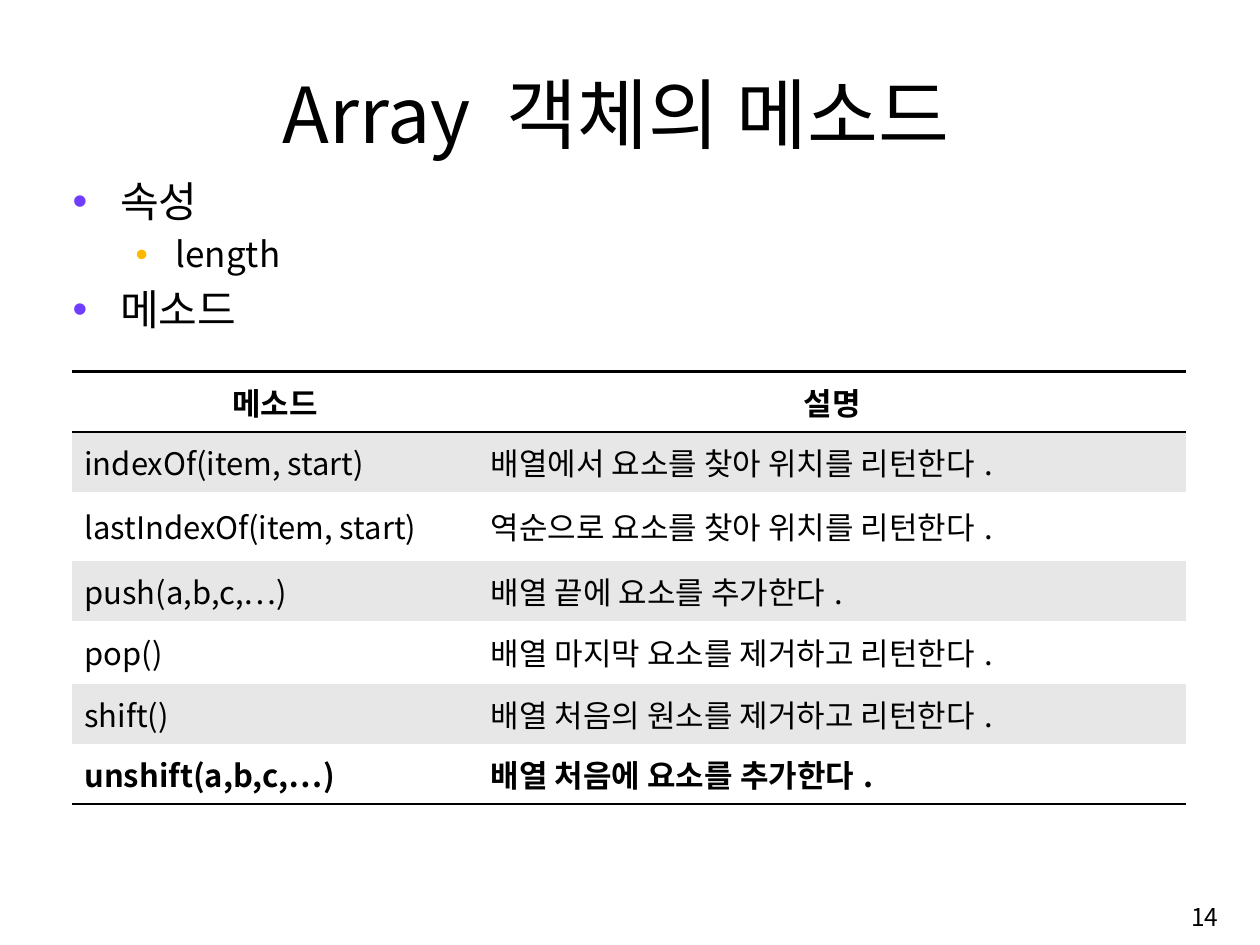
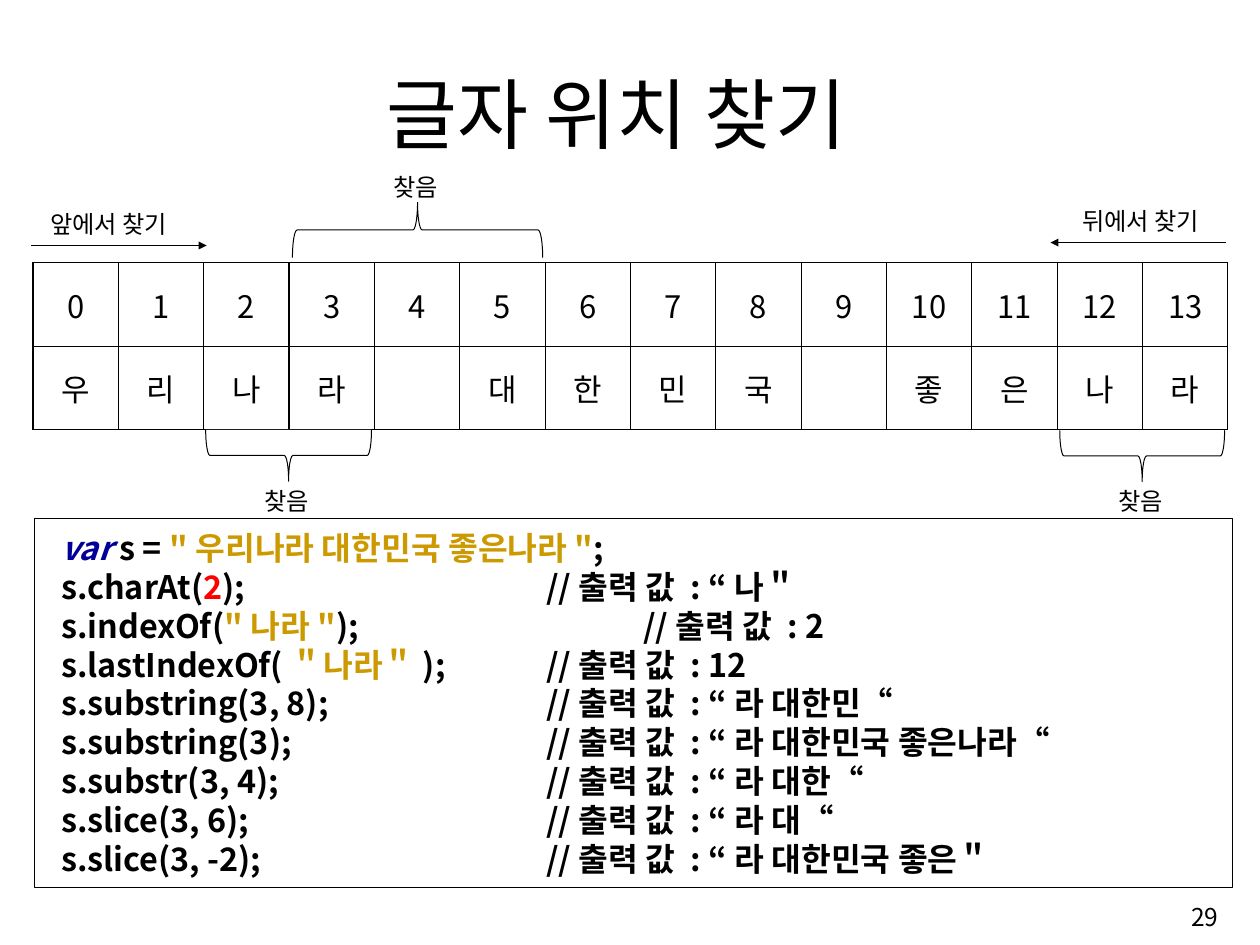
import dataclasses
import pptx
import pptx.util
import pptx.dml.color
import pptx.enum.shapes
import pptx.enum.text
import pptx.oxml
import pptx.oxml.ns
import lxml.etree

Inches, Pt = pptx.util.Inches, pptx.util.Pt
RGB = pptx.dml.color.RGBColor.from_string
Shape = pptx.enum.shapes.MSO_SHAPE
Align = pptx.enum.text.PP_ALIGN
Anchor = pptx.enum.text.MSO_ANCHOR
qn = pptx.oxml.ns.qn


@dataclasses.dataclass
class Theme:
    font: str = "Noto Sans CJK KR"
    small: str = "Arial"
    ink: str = "000000"
    paper: str = "FFFFFF"
    band: str = "E7E7E7"
    violet: str = "703DFF"
    amber: str = "FFB800"
    navy: str = "000099"
    gold: str = "CC9900"
    red: str = "FF0000"
    title: float = 57.2
    body: float = 31.2
    sub: float = 26
    code: float = 24
    cell: float = 23
    page: float = 18.2
    label: float = 18


T = Theme()


def write(frame, lines, size=T.cell, font=T.font, bold=False, align=Align.LEFT,
          anchor=Anchor.TOP, pad=(0.1, 0.05), bullets=None, tabs=()):
    """Fill a text frame or cell; a line is text or a list of (text, colour, italic)."""
    cell = not hasattr(frame, "word_wrap")
    text = frame.text_frame if cell else frame
    text.word_wrap = True
    frame.vertical_anchor = anchor
    frame.margin_left = frame.margin_right = Inches(pad[0])
    frame.margin_top = frame.margin_bottom = Inches(pad[1])
    for i, line in enumerate(lines):
        para = text.paragraphs[0] if i == 0 else text.add_paragraph()
        para.alignment = align
        props = para._p.get_or_add_pPr()
        points = size
        if bullets:
            points, left, hang, hue = bullets[i]
            para.space_before = Pt(round(points * 0.2, 1))
            props.set("marL", str(Inches(left)))
            props.set("indent", str(-Inches(hang)))
            mark = lxml.etree.SubElement(props, qn("a:buClr"))
            lxml.etree.SubElement(mark, qn("a:srgbClr"), val=hue)
            lxml.etree.SubElement(props, qn("a:buFont"), typeface=T.small)
            lxml.etree.SubElement(props, qn("a:buChar"), char="•")
        if tabs:
            stops = lxml.etree.SubElement(props, qn("a:tabLst"))
            for stop in tabs:
                lxml.etree.SubElement(stops, qn("a:tab"), pos=str(Inches(stop)), algn="l")
        parts = [(line, T.ink, False)] if isinstance(line, str) else line
        for words, hue, slant in parts:
            run = para.add_run()
            run.text = words
            run.font.size, run.font.name = Pt(points), font
            run.font.bold, run.font.italic = bold, slant
            run.font.color.rgb = RGB(hue)
            lxml.etree.SubElement(run._r.get_or_add_rPr(), qn("a:ea"), typeface=T.font)


def edge(cell, **widths):
    """Draw the named cell borders (L, R, T, B) and clear the others."""
    for side in "LRTB":
        width = widths.get(side, 0)
        line = lxml.etree.SubElement(cell._tc.get_or_add_tcPr(), qn("a:ln" + side),
                                     w=str(Pt(width)))
        if width:
            fill = lxml.etree.SubElement(line, qn("a:solidFill"))
            lxml.etree.SubElement(fill, qn("a:srgbClr"), val=T.ink)
        else:
            lxml.etree.SubElement(line, qn("a:noFill"))


deck = pptx.Presentation()
deck.slide_width, deck.slide_height = Inches(12.99), Inches(9.74)

# Shared title and page number
slides = []
for title, page in [("Array 객체의 메소드", "14"), ("글자 위치 찾기", "29")]:
    slide = deck.slides.add_slide(deck.slide_layouts[6])
    box = slide.shapes.add_textbox(Inches(1.05), Inches(0.61), Inches(10.61), Inches(1.08))
    write(box.text_frame, [title], size=T.title, align=Align.CENTER, anchor=Anchor.BOTTOM)
    box = slide.shapes.add_textbox(Inches(9.98), Inches(9.15), Inches(2.68), Inches(0.59))
    write(box.text_frame, [page], size=T.page, align=Align.RIGHT, anchor=Anchor.MIDDLE)
    slides.append(slide)
first, second = [slide.shapes for slide in slides]

# Slide 1: bullets
box = first.add_textbox(Inches(0.65), Inches(1.76), Inches(11.67), Inches(1.9))
main = (T.body, 0.49, 0.49, T.violet)
write(box.text_frame, ["속성", "length", "메소드"],
      bullets=[main, (T.sub, 1.06, 0.41, T.amber), main])

# Slide 1: method table
rows = [
    ("메소드", "설명"),
    ("indexOf(item, start)", "배열에서 요소를 찾아 위치를 리턴한다."),
    ("lastIndexOf(item, start)", "역순으로 요소를 찾아 위치를 리턴한다."),
    ("push(a,b,c,…)", "배열 끝에 요소를 추가한다."),
    ("pop()", "배열 마지막 요소를 제거하고 리턴한다."),
    ("shift()", "배열 처음의 원소를 제거하고 리턴한다."),
    ("unshift(a,b,c,…)", "배열 처음에 요소를 추가한다."),
]
table = first.add_table(len(rows), 2, Inches(0.74), Inches(3.83),
                        Inches(11.49), Inches(4.46)).table
table.first_row = table.horz_banding = False
for col, width in zip(table.columns, (4.19, 7.3)):
    col.width = Inches(width)
for r, row in enumerate(rows):
    table.rows[r].height = Inches({2: 0.71, 4: 0.65}.get(r, 0.62))
    head, last = r == 0, r == len(rows) - 1
    for c, words in enumerate(row):
        cell = table.cell(r, c)
        write(cell, [words], bold=head or last, anchor=Anchor.MIDDLE, pad=(0.13, 0.06),
              align=Align.CENTER if head else Align.LEFT)
        edge(cell, T=2 if r < 2 else 0, B=2 if head or last else 0)
        cell.fill.solid()
        cell.fill.fore_color.rgb = RGB(T.band if r % 2 else T.paper)

# Slide 2: letters and their positions
letters = "우리나라 대한민국 좋은나라"
table = second.add_table(2, len(letters), Inches(0.34), Inches(2.71),
                         Inches(12.32), Inches(1.71)).table
table.first_row = table.horz_banding = False
for row in table.rows:
    row.height = Inches(0.86)
for c, letter in enumerate(letters):
    table.columns[c].width = Inches(0.88)
    for r, words in enumerate((str(c), letter.strip())):
        cell = table.cell(r, c)
        write(cell, [words] if words else [], align=Align.CENTER,
              anchor=Anchor.MIDDLE, pad=(0.13, 0.06))
        edge(cell, L=1, R=1, T=1, B=1)
        cell.fill.background()

# Slide 2: braces and code panel
code = [
    [("var", T.navy, True), (" s = ", T.ink, False),
     ('"우리나라 대한민국 좋은나라"', T.gold, False), (";", T.ink, False)],
    [("s.charAt(", T.ink, False), ("2", T.red, False),
     (");\t\t\t\t//출력 값 : “나＂", T.ink, False)],
    [("s.indexOf(", T.ink, False), ('"나라"', T.gold, False),
     (");\t\t\t//출력 값 : 2", T.ink, False)],
    [("s.lastIndexOf(", T.ink, False), ("＂나라＂", T.gold, False),
     (");\t\t//출력 값 : 12", T.ink, False)],
    "s.substring(3, 8);\t\t\t//출력 값 : “라 대한민“",
    "s.substring(3);\t\t\t//출력 값 : “라 대한민국 좋은나라“",
    "s.substr(3, 4);\t\t\t//출력 값 : “라 대한“",
    "s.slice(3, 6);\t\t\t\t//출력 값 : “라 대“",
    "s.slice(3, -2);\t\t\t//출력 값 : “라 대한민국 좋은＂",
]
for kind, x, y, w, h, turn in [
    (Shape.RIGHT_BRACE, 2.71, 3.84, 0.53, 1.71, 90),
    (Shape.RIGHT_BRACE, 11.51, 3.85, 0.53, 1.7, 90),
    (Shape.RIGHT_BRACE, 4.02, 1.08, 0.57, 2.58, 270),
    (Shape.RECTANGLE, 0.36, 5.34, 12.35, 3.81, 0),
]:
    shape = second.add_shape(kind, Inches(x), Inches(y), Inches(w), Inches(h))
    shape.rotation = turn
    shape.shadow.inherit = False
    shape.fill.solid()
    shape.fill.fore_color.rgb = RGB(T.paper)
    shape.line.color.rgb = RGB(T.ink)
    shape.line.width = Pt(0.75)
    if kind == Shape.RECTANGLE:
        write(shape.text_frame, code, size=T.code, bold=True, anchor=Anchor.MIDDLE,
              pad=(0.27, 0.06), tabs=range(1, 8))

# Slide 2: search arrows
for start, end, y in [(0.32, 2.13, 2.53), (12.64, 10.83, 2.5)]:
    arrow = second.add_connector(pptx.enum.shapes.MSO_CONNECTOR.STRAIGHT,
                                 Inches(start), Inches(y), Inches(end), Inches(y))
    arrow.line.color.rgb = RGB(T.ink)
    arrow.line.width = Pt(0.75)
    lxml.etree.SubElement(arrow.line._get_or_add_ln(), qn("a:tailEnd"), type="triangle")
    lxml.etree.SubElement(arrow._element.spPr, qn("a:effectLst"))

# Slide 2: labels
for words, x, y, w in [
    ("앞에서 찾기", 0.42, 2.11, 1.9),
    ("뒤에서 찾기", 11.06, 2.08, 1.9),
    ("찾음", 2.63, 4.96, 0.92),
    ("찾음", 11.43, 4.96, 0.92),
    ("찾음", 3.96, 1.73, 0.92),
]:
    box = second.add_textbox(Inches(x), Inches(y), Inches(w), Inches(0.4))
    write(box.text_frame, [words], size=T.label, font=T.small)

deck.save("out.pptx")
